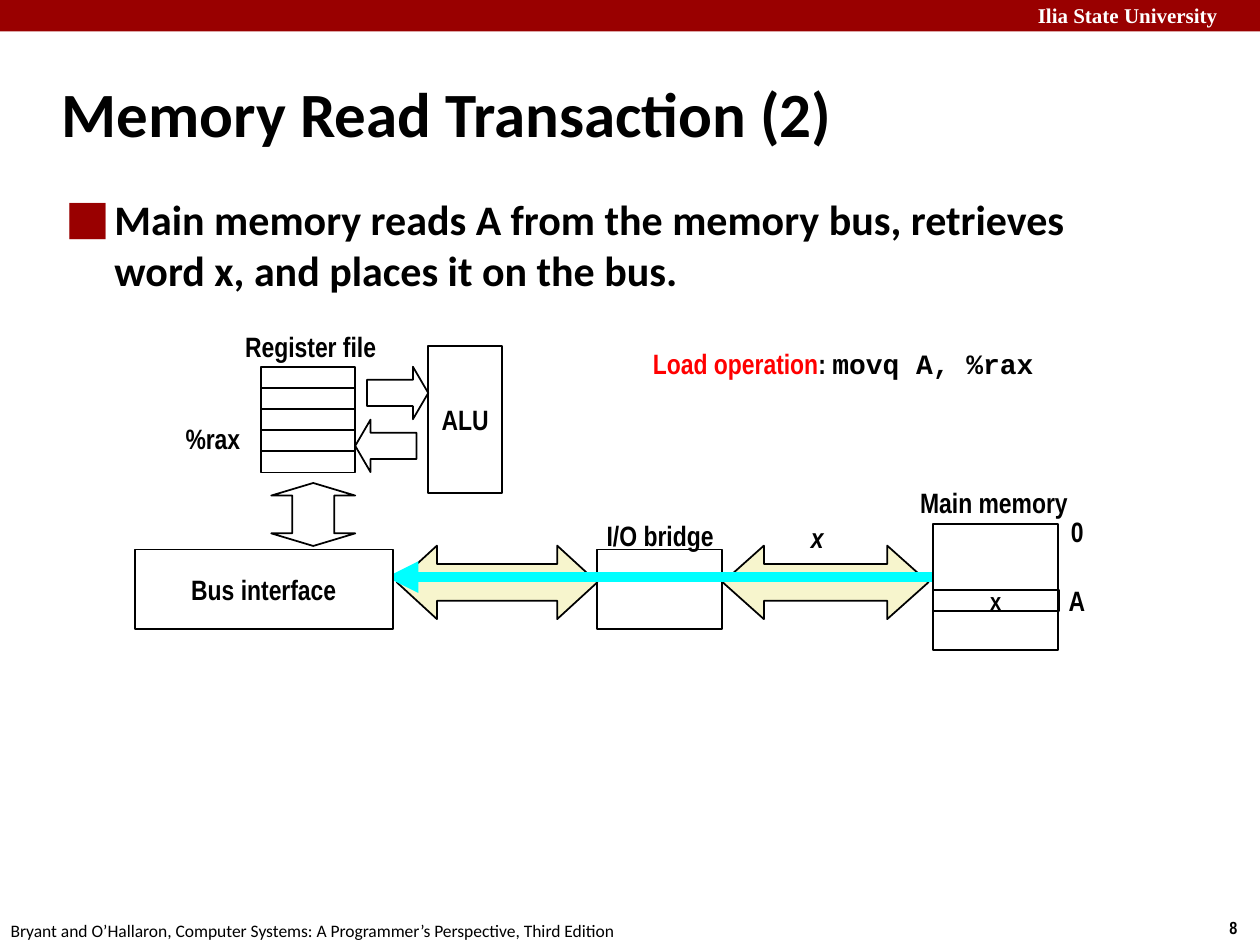
from dataclasses import dataclass

from lxml import etree
from pptx import Presentation
from pptx.dml.color import RGBColor
from pptx.enum.shapes import MSO_CONNECTOR, MSO_SHAPE
from pptx.enum.text import MSO_ANCHOR, MSO_AUTO_SIZE, PP_ALIGN
from pptx.oxml.ns import qn
from pptx.util import Pt

RECTANGLE = MSO_SHAPE.RECTANGLE
LEFT, CENTER = PP_ALIGN.LEFT, PP_ALIGN.CENTER
TOP, MIDDLE = MSO_ANCHOR.TOP, MSO_ANCHOR.MIDDLE


@dataclass(frozen=True)
class Theme:
    accent: str = "990000"
    ink: str = "000000"
    paper: str = "FFFFFF"
    bus: str = "F7F5CD"
    signal: str = "00FFFF"
    highlight: str = "FF0000"
    heading_font: str = "Calibri"
    label_font: str = "Arial Narrow"
    code_font: str = "Courier New"
    brand_font: str = "Times New Roman"
    title_size: int = 36
    body_size: int = 24
    label_size: int = 16
    cell_size: int = 14
    brand_size: int = 12
    footer_size: int = 10


THEME = Theme()


@dataclass(frozen=True)
class Box:
    left: float
    top: float
    width: float
    height: float

    def inner(self, left, top, width, height):
        """Return a box whose position is measured from this one."""
        return Box(self.left + left, self.top + top, width, height)

    def lengths(self):
        return [Pt(value) for value in (self.left, self.top, self.width, self.height)]


def add_run(paragraph, text, size=THEME.label_size, font=THEME.label_font,
            color=THEME.ink, bold=True, italic=False):
    run = paragraph.add_run()
    run.text = text
    run.font.size = Pt(size)
    run.font.name = font
    run.font.bold = bold
    run.font.italic = italic
    run.font.color.rgb = RGBColor.from_string(color)


def add_label(slide, box, text=None, align=CENTER, anchor=MIDDLE, **style):
    """Add a text box and return its paragraph for further runs."""
    frame = slide.shapes.add_textbox(*box.lengths()).text_frame
    frame.word_wrap = True
    frame.vertical_anchor = anchor
    paragraph = frame.paragraphs[0]
    paragraph.alignment = align
    if text:
        add_run(paragraph, text, **style)
    return paragraph


def add_block(slide, box, kind=RECTANGLE, fill=None, outlined=True, text=None, **style):
    shape = slide.shapes.add_shape(kind, *box.lengths())
    shape.shadow.inherit = False
    if fill:
        shape.fill.solid()
        shape.fill.fore_color.rgb = RGBColor.from_string(fill)
    else:
        shape.fill.background()
    if outlined:
        shape.line.color.rgb = RGBColor.from_string(THEME.ink)
        shape.line.width = Pt(1)
    else:
        shape.line.fill.background()
    if text:
        shape.text_frame.vertical_anchor = MIDDLE
        paragraph = shape.text_frame.paragraphs[0]
        paragraph.alignment = CENTER
        add_run(paragraph, text, **style)
    return shape


def add_arrow(slide, box, kind, head, fill=None):
    """Add a block arrow with a half-width shaft; head is relative to the shorter side."""
    arrow = add_block(slide, box, kind, fill)
    guides = arrow._element.spPr.find(qn("a:prstGeom")).find(qn("a:avLst"))
    for guide in list(guides):
        guides.remove(guide)
    for name, value in (("adj1", 0.5), ("adj2", head)):
        etree.SubElement(guides, qn("a:gd"), name=name, fmla=f"val {round(value * 100000)}")


def add_header(slide, box):
    add_block(slide, box, fill=THEME.accent, outlined=False)
    add_label(slide, box.inner(586, -2, 139, 22), "Ilia State University", LEFT, TOP,
              size=THEME.brand_size, font=THEME.brand_font, color=THEME.paper)


def add_footer(slide, box):
    add_label(slide, box.inner(-1, 2, 366, 20),
              "Bryant and O’Hallaron, Computer Systems: A Programmer’s Perspective, Third Edition",
              LEFT, TOP, size=THEME.footer_size, font=THEME.heading_font, bold=False)
    add_label(slide, box.inner(695.5, 0.5, 25, 20), "8", LEFT, TOP, size=THEME.footer_size)


def fill_placeholder(placeholder, box, text, size, indent, anchor):
    """Place a placeholder, write its one paragraph and return the paragraph's properties."""
    placeholder.left, placeholder.top, placeholder.width, placeholder.height = box.lengths()
    frame = placeholder.text_frame
    frame.auto_size = MSO_AUTO_SIZE.NONE
    frame.vertical_anchor = anchor
    paragraph = frame.paragraphs[0]
    paragraph.alignment = LEFT
    paragraph.space_before = Pt(0)
    add_run(paragraph, text, size=size, font=THEME.heading_font)
    properties = paragraph._p.get_or_add_pPr()
    properties.set("marL", str(Pt(indent)))
    properties.set("indent", str(-Pt(indent)))
    return properties


def add_title(slide, box):
    fill_placeholder(slide.shapes.title, box, "Memory Read Transaction (2)",
                     THEME.title_size, 9, MIDDLE)


def add_body(slide, box):
    properties = fill_placeholder(
        slide.placeholders[1], box,
        "Main memory reads A from the memory bus, retrieves word x, and places it on the bus.",
        THEME.body_size, 27, TOP)
    bullet_color = etree.SubElement(properties, qn("a:buClr"))
    etree.SubElement(bullet_color, qn("a:srgbClr"), val=THEME.accent)
    etree.SubElement(properties, qn("a:buChar"), char="⬛")


def add_buses(slide, box):
    """Draw the system bus, the I/O bridge, the memory bus and the signal across them."""
    for left, width, head in ((5.8, 114.5, 0.545), (192, 117.5, 0.56)):
        add_arrow(slide, box.inner(left, 19.8, width, 42), MSO_SHAPE.LEFT_RIGHT_ARROW,
                  head, THEME.bus)
    add_block(slide, box.inner(120.3, 22, 71.5, 45.5))
    add_label(slide, box.inner(116.2, 0.5, 80, 27), "I/O bridge")
    add_label(slide, box.inner(233.5, 1.5, 25, 27), "x", italic=True)

    signal_y = Pt(box.top + 37.8)
    signal = slide.shapes.add_connector(MSO_CONNECTOR.STRAIGHT, Pt(box.left), signal_y,
                                        Pt(box.left + box.width), signal_y)
    signal.line.color.rgb = RGBColor.from_string(THEME.signal)
    signal.line.width = Pt(6)
    etree.SubElement(signal.line._get_or_add_ln(), qn("a:headEnd"), type="triangle")
    etree.SubElement(signal._element.spPr, qn("a:effectLst"))


def add_processor(slide, box):
    register_count, register_height = 5, 12.1
    for row in range(register_count):
        add_block(slide, box.inner(72, 25.5 + row * register_height, 54, register_height))
    add_label(slide, box.inner(56, 0.5, 95, 27), "Register file", LEFT)
    add_label(slide, box.inner(19.7, 53, 50, 27), "%rax")

    for kind, left, top in ((MSO_SHAPE.RIGHT_ARROW, 132.7, 25.6),
                            (MSO_SHAPE.LEFT_ARROW, 126, 55.8)):
        add_arrow(slide, box.inner(left, top, 35, 30), kind, 0.292)
    add_block(slide, box.inner(167.8, 13.8, 42, 84), text="ALU")
    add_arrow(slide, box.inner(78, 92, 48, 36), MSO_SHAPE.UP_DOWN_ARROW, 0.2)
    add_block(slide, box.inner(0, 130, 147.5, 45.5), fill=THEME.paper, text="Bus interface")


def add_memory(slide, box):
    add_block(slide, box.inner(17.3, 26, 71.5, 72))
    add_block(slide, box.inner(17, 63.5, 72, 12), text="x", size=THEME.cell_size)
    add_label(slide, box.inner(0, -0.2, 104, 27), "Main memory")
    add_label(slide, box.inner(88.8, 16.5, 24, 27), "0", LEFT)
    add_label(slide, box.inner(87.5, 56, 27, 27), "A", LEFT)


def add_operation(slide, box):
    paragraph = add_label(slide, box, align=LEFT, anchor=TOP)
    add_run(paragraph, "Load operation", color=THEME.highlight)
    add_run(paragraph, ": ")
    add_run(paragraph, "movq A, %rax", font=THEME.code_font)


def main():
    presentation = Presentation()
    presentation.slide_width, presentation.slide_height = Pt(720), Pt(540)
    slide = presentation.slides.add_slide(presentation.slide_layouts[1])
    add_header(slide, Box(0, 0, 720, 18))
    add_footer(slide, Box(0, 520, 720, 20))
    add_title(slide, Box(28, 34.2, 598, 60))
    add_body(slide, Box(31.2, 107.2, 622, 392))
    add_buses(slide, Box(221, 292, 312, 68))
    add_processor(slide, Box(77, 184, 210, 176))
    add_memory(slide, Box(516, 273.5, 115, 98))
    add_operation(slide, Box(366, 194.5, 237, 46))
    presentation.save("out.pptx")


if __name__ == "__main__":
    main()
